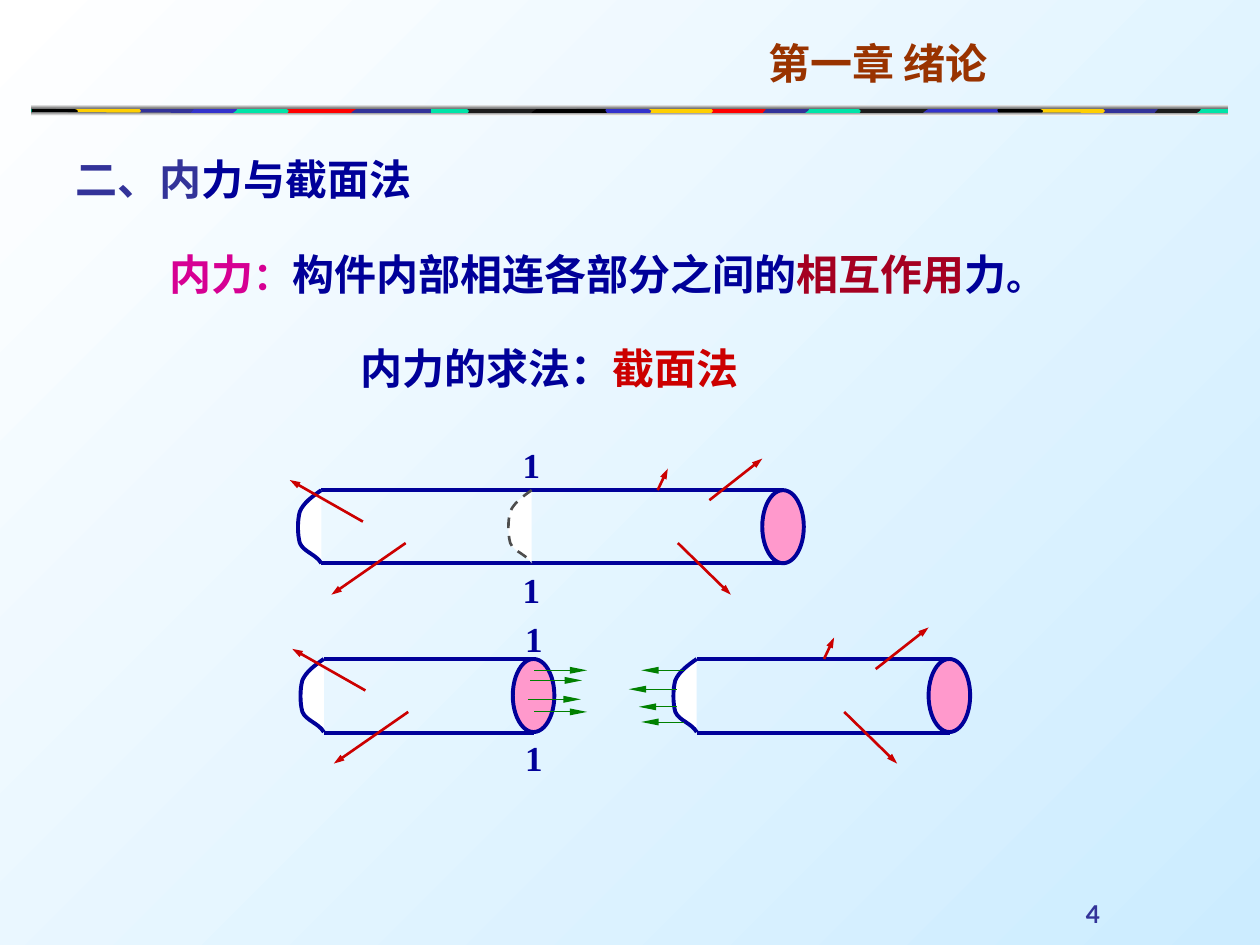
from dataclasses import dataclass

from lxml.etree import SubElement
from pptx import Presentation
from pptx.dml.color import RGBColor
from pptx.enum.dml import MSO_LINE_DASH_STYLE as Dash
from pptx.enum.shapes import MSO_CONNECTOR as Connector, MSO_SHAPE as Preset
from pptx.enum.text import MSO_ANCHOR as Anchor, PP_ALIGN as Align
from pptx.oxml.ns import qn
from pptx.util import Pt

PX = 9144
ELLIPSE_WIDTH, ELLIPSE_HEIGHT = 33, 58
CJK, SERIF, SANS = "Noto Sans CJK SC", "Times New Roman", "Lato"
COLORS = {
    "navy": "000099", "indigo": "333399", "blue": "3333CC", "red": "CC0000",
    "bright_red": "FF0000", "crimson": "A50021", "magenta": "D60093",
    "brown": "993300", "pink": "FF99CC", "green": "008000", "teal": "00E4A8",
    "gold": "FFCF01", "charcoal": "1C1C1C", "black": "000000",
    "gray": "767676", "dark_gray": "4D4D4D", "white": "FFFFFF", "sky": "CCECFF",
}


@dataclass(frozen=True)
class Run:
    text: str
    color: str
    size: int = 24
    font: str = CJK


@dataclass(frozen=True)
class Box:
    left: int
    top: int
    width: int
    height: int
    runs: tuple[Run, ...]


@dataclass(frozen=True)
class Arrow:
    x1: int
    y1: int
    x2: int
    y2: int


@dataclass(frozen=True)
class Cylinder:
    left: int
    right: int
    top: int
    bottom: int
    left_loaded: bool
    right_loaded: bool


@dataclass(frozen=True)
class Tile:
    outline: str
    shift: int
    color: str


OUTLINES = {
    "wedge": [(740, 91), (680, 91), (691, 86, 670, 85, 680, 84), (740, 84)],
    "wave": [(796, 91), (736, 91), (726, 90, 743, 86, 736, 84), (796, 84)],
    "pill": [(948, 91), (917, 91), (912, 90, 912, 85, 917, 84), (948, 84),
             (954, 84, 953, 85, 953, 87), (953, 88, 949, 90, 948, 91)],
    "notch": [(838, 91), (796, 91), (790, 90, 790, 85, 796, 84), (838, 84),
              (832, 88, 838, 90, 838, 91)],
    "point": [(880, 91), (821, 91), (828, 90, 828, 90, 828, 88),
              (828, 87, 821, 85, 821, 84), (880, 84)],
    "block": [(916, 91), (877, 91), (871, 91, 877, 90, 877, 88),
              (877, 87, 871, 84, 877, 84), (916, 84), (923, 85, 916, 89, 916, 90)],
    "cap": [(73, 91), (25, 91), (25, 84), (73, 84), (67, 88, 73, 90, 73, 91)],
    "base": [(975, 91), (25, 91), (25, 84), (975, 84)],
    "upper_edge": [(975, 86), (700, 88, 600, 85, 25, 86), (25, 83), (975, 83)],
    "lower_edge": [(975, 90), (816, 89, 155, 91, 25, 89), (25, 92), (975, 92)],
    "cut": [(0, 0), (-7, 5, -14, 10, -17, 17), (-19, 24, -19, 35, -17, 42),
            (-14, 49, -4, 51, 0, 58)],
}
TILES = [
    Tile("base", 0, "teal"),
    Tile("wedge", 0, "charcoal"), Tile("wave", 0, "blue"), Tile("pill", 0, "charcoal"),
    Tile("notch", 0, "black"), Tile("point", 0, "gold"), Tile("block", 0, "indigo"),
    Tile("wedge", -311, "charcoal"), Tile("wave", -311, "black"), Tile("pill", -311, "indigo"),
    Tile("notch", -311, "blue"), Tile("point", -311, "gold"), Tile("block", -311, "bright_red"),
    Tile("wedge", -454, "bright_red"), Tile("wave", -454, "indigo"), Tile("pill", -765, "blue"),
    Tile("cap", 0, "black"), Tile("point", -766, "gold"), Tile("block", -765, "indigo"),
]
TITLE = Box(50, 117, 305, 50, (Run("二、内", "indigo", 24, SERIF),
                               Run("力与截面法", "navy", 24, SERIF)))
TEXTS = [
    Box(600, 25, 325, 50, (Run("第一章 绪论", "brown"),)),
    Box(276, 267, 399, 50, (Run("内力的求法：", "navy", 24, SERIF),
                            Run("截面法", "red", 24, SERIF))),
    Box(125, 192, 729, 50, (Run("内力", "magenta"), Run("：", "magenta", 22),
                            Run("构件内部相连各部分之间的", "navy"),
                            Run("相互作用", "crimson"), Run("力", "navy"),
                            Run("。", "navy", 22))),
]
PAGE_NUMBER = Box(675, 692, 208, 50, (Run("4", "indigo", 14, SANS),))
SECTION_LABELS = [(405, 347), (405, 446), (407, 485), (407, 580)]
CYLINDERS = [
    Cylinder(255, 622, 389, 447, True, True),
    Cylinder(257, 424, 523, 582, True, False),
    Cylinder(553, 754, 523, 582, False, True),
]
LEFT_FORCES = [Arrow(67, 42, 8, 83), Arrow(33, 25, -25, -8)]
RIGHT_FORCES = [Arrow(-59, 8, -17, -25), Arrow(-84, 42, -42, 83), Arrow(-100, 0, -92, -17)]
INTERNAL_FORCES = [
    Arrow(424, 532, 466, 532), Arrow(419, 555, 461, 555),
    Arrow(424, 565, 466, 565), Arrow(421, 540, 462, 540),
    Arrow(543, 532, 509, 532), Arrow(537, 547, 499, 547),
    Arrow(543, 573, 509, 573), Arrow(537, 561, 507, 561),
]


def rgb(color: str) -> RGBColor:
    return RGBColor.from_string(COLORS[color])


def fill_solid(shape, color: str) -> None:
    shape.fill.solid()
    shape.fill.fore_color.rgb = rgb(color)


def fill_gradient(fill, start: str, end: str, angle: int) -> None:
    fill.gradient()
    fill.gradient_angle = angle
    for stop, color in zip(fill.gradient_stops, (start, end)):
        stop.color.rgb = rgb(color)


def write_text(shape, box: Box, align=Align.LEFT, anchor=Anchor.TOP) -> None:
    shape.left, shape.top = box.left * PX, box.top * PX
    shape.width, shape.height = box.width * PX, box.height * PX
    frame = shape.text_frame
    frame.word_wrap, frame.vertical_anchor = True, anchor
    paragraph = frame.paragraphs[0]
    paragraph.alignment = align
    for item in box.runs:
        run = paragraph.add_run()
        run.text = item.text
        run.font.size, run.font.bold, run.font.name = Pt(item.size), True, item.font
        run.font.color.rgb = rgb(item.color)
        SubElement(run.font._element, qn("a:ea"), typeface=CJK)


def add_text(slide, box: Box, align=Align.LEFT, anchor=Anchor.TOP) -> None:
    write_text(slide.shapes.add_textbox(0, 0, PX, PX), box, align, anchor)


def add_outline(slide, outline: str, dx: int = 0, dy: int = 0, close: bool = True):
    segments = [[((x + dx) * PX, (y + dy) * PX) for x, y in zip(segment[::2], segment[1::2])]
                for segment in OUTLINES[outline]]
    ends = [segment[-1] for segment in segments]
    builder = slide.shapes.build_freeform(*ends[0], scale=1.0)
    builder.add_line_segments(ends[1:], close=close)
    shape = builder.convert_to_shape()
    shape.shadow.inherit = False
    shape.line.fill.background()
    steps = list(shape._element.iter(qn("a:lnTo")))
    for step, segment in zip(steps, segments[1:]):
        if len(segment) == 3:
            step.tag = qn("a:cubicBezTo")
            step.remove(step[0])
            for x, y in segment:
                SubElement(step, qn("a:pt"), x=str(x - shape.left), y=str(y - shape.top))
    return shape


def add_line(slide, line: Arrow, color: str, width: float, head_length: str = "") -> None:
    connector = slide.shapes.add_connector(
        Connector.STRAIGHT, line.x1 * PX, line.y1 * PX, line.x2 * PX, line.y2 * PX)
    connector.line.color.rgb, connector.line.width = rgb(color), Pt(width)
    if head_length:
        SubElement(connector.line._get_or_add_ln(), qn("a:tailEnd"),
                   type="triangle", w="sm", len=head_length)
    SubElement(connector._element.spPr, qn("a:effectLst"))


def add_cut(slide, x: int, y: int, color: str, width: float, dash=None) -> None:
    cut = add_outline(slide, "cut", x, y, close=False)
    fill_solid(cut, "white")
    cut.line.color.rgb, cut.line.width = rgb(color), Pt(width)
    cut.line.dash_style = dash


def add_forces(slide, forces: list[Arrow], x: int, y: int) -> None:
    for force in forces:
        add_line(slide, Arrow(force.x1 + x, force.y1 + y, force.x2 + x, force.y2 + y),
                 "red", 1.5, "med")


def add_cylinder(slide, bar: Cylinder) -> None:
    end = slide.shapes.add_shape(
        Preset.OVAL, (bar.right - 17) * PX, bar.top * PX,
        ELLIPSE_WIDTH * PX, ELLIPSE_HEIGHT * PX)
    end.shadow.inherit = False
    fill_solid(end, "pink")
    end.line.color.rgb, end.line.width = rgb("navy"), Pt(2.25)
    for y in (bar.top, bar.bottom):
        add_line(slide, Arrow(bar.left, y, bar.right, y), "navy", 2.25)
    add_cut(slide, bar.left, bar.top, "navy", 2.25)
    if bar.left_loaded:
        add_forces(slide, LEFT_FORCES, bar.left, bar.top)
    if bar.right_loaded:
        add_forces(slide, RIGHT_FORCES, bar.right, bar.top)


def add_stripe(slide) -> None:
    for tile in TILES:
        fill_solid(add_outline(slide, tile.outline, tile.shift), tile.color)
    for edge, start, end in (("upper_edge", "white", "gray"), ("lower_edge", "gray", "white")):
        fill_gradient(add_outline(slide, edge).fill, start, end, 270)


def main() -> None:
    presentation = Presentation()
    presentation.slide_width, presentation.slide_height = 1000 * PX, 750 * PX
    slide = presentation.slides.add_slide(presentation.slide_layouts[5])
    fill_gradient(slide.background.fill, "sky", "white", 135)
    write_text(slide.shapes.title, TITLE)
    add_stripe(slide)
    for box in TEXTS:
        add_text(slide, box)
    for bar in CYLINDERS:
        add_cylinder(slide, bar)
    add_cut(slide, 422, 389, "dark_gray", 1.5, Dash.DASH)
    for left, top in SECTION_LABELS:
        add_text(slide, Box(left, top, 33, 44, (Run("1", "navy", 20, SERIF),)))
    for force in INTERNAL_FORCES:
        add_line(slide, force, "green", 0.5, "lg")
    add_text(slide, PAGE_NUMBER, Align.RIGHT, Anchor.BOTTOM)
    presentation.save("out.pptx")


if __name__ == "__main__":
    main()
